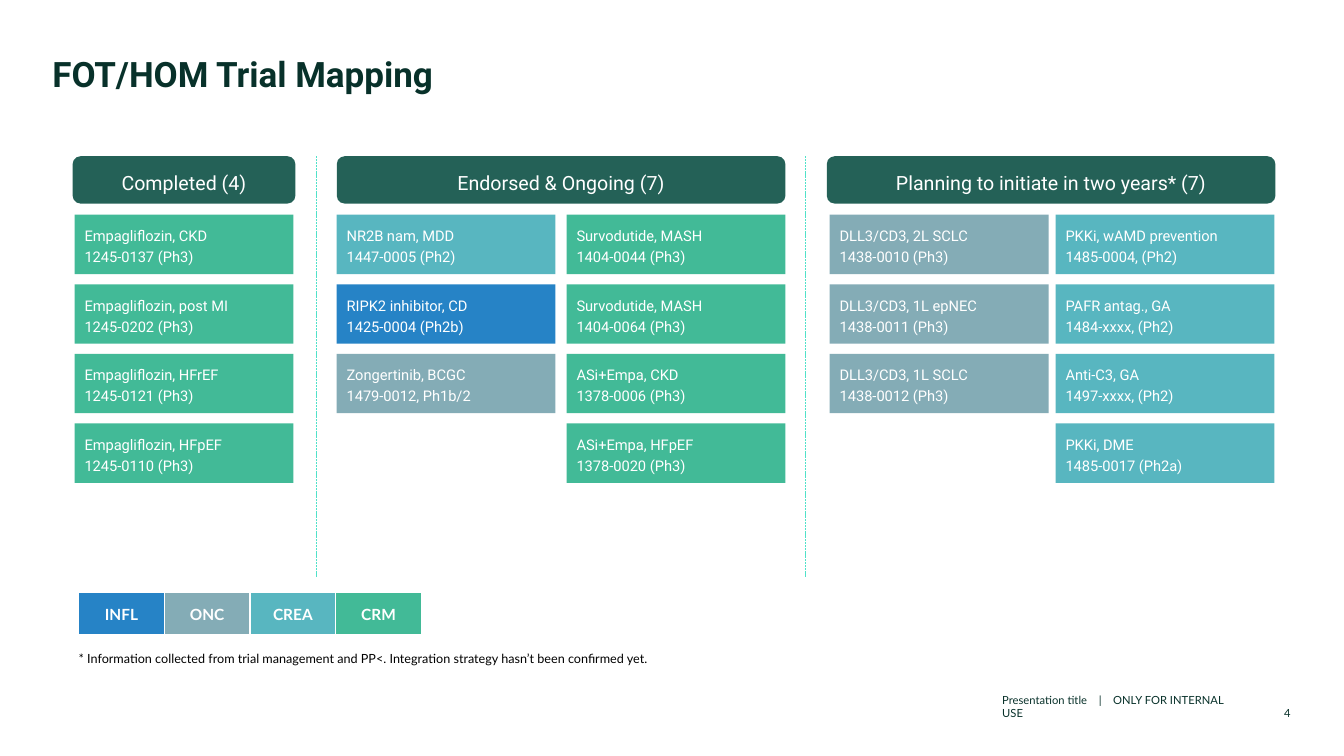
from lxml.etree import SubElement
from pptx import Presentation
from pptx.dml.color import RGBColor
from pptx.enum.dml import MSO_LINE
from pptx.enum.shapes import MSO_CONNECTOR, MSO_SHAPE
from pptx.enum.text import MSO_ANCHOR, PP_ALIGN
from pptx.oxml.ns import qn
from pptx.util import Inches, Pt

WHITE = RGBColor(0xFF, 0xFF, 0xFF)
BLACK = RGBColor(0, 0, 0)
INK = RGBColor(0x08, 0x31, 0x2A)
HEADER = RGBColor(0x24, 0x61, 0x57)
DIVIDER = RGBColor(0x50, 0xE2, 0xC9)
AREAS = {
    "INFL": RGBColor(0x26, 0x83, 0xC6),
    "ONC": RGBColor(0x84, 0xAC, 0xB6),
    "CREA": RGBColor(0x58, 0xB6, 0xC0),
    "CRM": RGBColor(0x42, 0xBA, 0x97),
}

# Card grid, in inches
HEADER_TOP, HEADER_HEIGHT = 1.55, 0.47
CARD_TOP, CARD_WIDTH, CARD_HEIGHT, CARD_PITCH = 2.13, 2.17, 0.59, 0.69
DIVIDER_BOTTOM = 5.72

# Each stage: header text, left, width, then columns of (left, cards)
STAGES = [
    ("Completed (4)", 0.72, 2.21, [
        (0.74, [("CRM", "Empagliflozin, CKD", "1245-0137 (Ph3)"),
                ("CRM", "Empagliflozin, post MI", "1245-0202 (Ph3)"),
                ("CRM", "Empagliflozin, HFrEF", "1245-0121 (Ph3)"),
                ("CRM", "Empagliflozin, HFpEF", "1245-0110 (Ph3)")]),
    ]),
    ("Endorsed & Ongoing (7)", 3.34, 4.45, [
        (3.34, [("CREA", "NR2B nam, MDD", "1447-0005 (Ph2)"),
                ("INFL", "RIPK2 inhibitor, CD", "1425-0004 (Ph2b)"),
                ("ONC", "Zongertinib, BCGC", "1479-0012, Ph1b/2")]),
        (5.62, [("CRM", "Survodutide, MASH", "1404-0044 (Ph3)"),
                ("CRM", "Survodutide, MASH", "1404-0064 (Ph3)"),
                ("CRM", "ASi+Empa, CKD", "1378-0006 (Ph3)"),
                ("CRM", "ASi+Empa, HFpEF", "1378-0020 (Ph3)")]),
    ]),
    ("Planning to initiate in two years* (7)", 8.2, 4.45, [
        (8.23, [("ONC", "DLL3/CD3, 2L SCLC", "1438-0010 (Ph3)"),
                ("ONC", "DLL3/CD3, 1L epNEC", "1438-0011 (Ph3)"),
                ("ONC", "DLL3/CD3, 1L SCLC", "1438-0012 (Ph3)")]),
        (10.47, [("CREA", "PKKi, wAMD prevention", "1485-0004, (Ph2)"),
                 ("CREA", "PAFR antag., GA", "1484-xxxx, (Ph2)"),
                 ("CREA", "Anti-C3, GA", "1497-xxxx, (Ph2)"),
                 ("CREA", "PKKi, DME", "1485-0017 (Ph2a)")]),
    ]),
]


def write(frame, *lines, size, font="Lato", color=WHITE, bold=False,
          align=PP_ALIGN.LEFT, spacing=None, after=None, tabs=()):
    """Fill a text frame with one paragraph per line."""
    for index, line in enumerate(lines):
        para = frame.add_paragraph() if index else frame.paragraphs[0]
        para.alignment = align
        if spacing:
            para.line_spacing = spacing
        if after:
            para.space_after = Pt(after)
        if tabs:
            tab_list = SubElement(para._p.get_or_add_pPr(), qn("a:tabLst"))
            for stop in tabs:
                SubElement(tab_list, qn("a:tab"), pos=str(Inches(stop)), algn="l")
        span = para.add_run()
        span.text = line
        span.font.name, span.font.size = font, Pt(size)
        span.font.bold, span.font.color.rgb = bold, color


def add_text(page, box, text, anchor=MSO_ANCHOR.BOTTOM, inset=0, **style):
    frame = page.shapes.add_textbox(*map(Inches, box)).text_frame
    frame.word_wrap = True
    frame.vertical_anchor = anchor
    frame.margin_left = Inches(inset)
    frame.margin_top = frame.margin_right = frame.margin_bottom = 0
    write(frame, text, **style)


def add_block(page, kind, box, fill, *lines, **style):
    shape = page.shapes.add_shape(kind, *map(Inches, box))
    shape.shadow.inherit = False
    shape.fill.solid()
    shape.fill.fore_color.rgb = fill
    shape.line.fill.background()
    shape.text_frame.word_wrap = True
    shape.text_frame.vertical_anchor = MSO_ANCHOR.MIDDLE
    write(shape.text_frame, *lines, font="Roboto", spacing=1.2, **style)


def add_stage(page, title, left, width, columns):
    """One stage: a header above its columns of trial cards."""
    add_block(page, MSO_SHAPE.ROUNDED_RECTANGLE, (left, HEADER_TOP, width, HEADER_HEIGHT),
              HEADER, title, size=14, align=PP_ALIGN.CENTER)
    for card_left, cards in columns:
        for row, (area, trial, number) in enumerate(cards):
            box = (card_left, CARD_TOP + row * CARD_PITCH, CARD_WIDTH, CARD_HEIGHT)
            add_block(page, MSO_SHAPE.RECTANGLE, box, AREAS[area], trial, number, size=10.5)


def add_divider(page, x):
    line = page.shapes.add_connector(MSO_CONNECTOR.STRAIGHT, Inches(x), Inches(HEADER_TOP),
                                     Inches(x), Inches(DIVIDER_BOTTOM))
    line.line.color.rgb = DIVIDER
    line.line.width = Pt(0.5)
    line.line.dash_style = MSO_LINE.SQUARE_DOT
    # Square dots in the library are the system dash's sibling; use the system dash
    line.line._ln.find(qn("a:prstDash")).set("val", "sysDash")
    SubElement(line._element.spPr, qn("a:effectLst"))


def add_border(cell, side, points):
    edge = SubElement(cell._tc.get_or_add_tcPr(), qn(f"a:{side}"), w=str(Pt(points)))
    SubElement(SubElement(edge, qn("a:solidFill")), qn("a:srgbClr"), val=str(WHITE))


def add_legend(page, box):
    """Colour key: one cell per therapeutic area."""
    table = page.shapes.add_table(1, len(AREAS), *map(Inches, box)).table
    table.first_row = table.horz_banding = False
    for column, (area, color) in enumerate(AREAS.items()):
        cell = table.cell(0, column)
        cell.margin_left = cell.margin_right = Inches(0 if area == "CREA" else 0.24)
        cell.margin_top = cell.margin_bottom = Inches(0.12)
        for side, points in (("lnL", 1), ("lnR", 1), ("lnT", 1), ("lnB", 3)):
            add_border(cell, side, points)
        cell.fill.solid()
        cell.fill.fore_color.rgb = color
        write(cell.text_frame, area, size=11, bold=True, align=PP_ALIGN.CENTER)


def add_footer(page, top, height):
    add_text(page, (6.86, top, 5.51, height), "Presentation title\t|\tONLY FOR INTERNAL USE",
             inset=3.08, size=8, color=INK, after=3, tabs=(0.96, 1.1))
    add_text(page, (12.49, top, 0.31, height), "4", size=8, color=INK, align=PP_ALIGN.RIGHT)


def main():
    deck = Presentation()
    deck.slide_width, deck.slide_height = Inches(13.33), Inches(7.5)
    page = deck.slides.add_slide(deck.slide_layouts[6])

    # Title
    add_text(page, (0.52, 0.52, 12.28, 0.79), "FOT/HOM Trial Mapping",
             anchor=MSO_ANCHOR.TOP, size=25, font="Roboto", color=INK, bold=True)

    # Trial map
    for stage in STAGES:
        add_stage(page, *stage)
    for x in (3.14, 7.99):
        add_divider(page, x)

    # Legend, note and footer
    add_legend(page, (0.78, 5.88, 3.4, 0.42))
    add_text(page, (0.78, 6.32, 5.97, 0.29),
             "* Information collected from trial management and PP<. "
             "Integration strategy hasn’t been confirmed yet.", size=9, color=BLACK)
    add_footer(page, 6.83, 0.31)

    deck.save("out.pptx")


if __name__ == "__main__":
    main()
